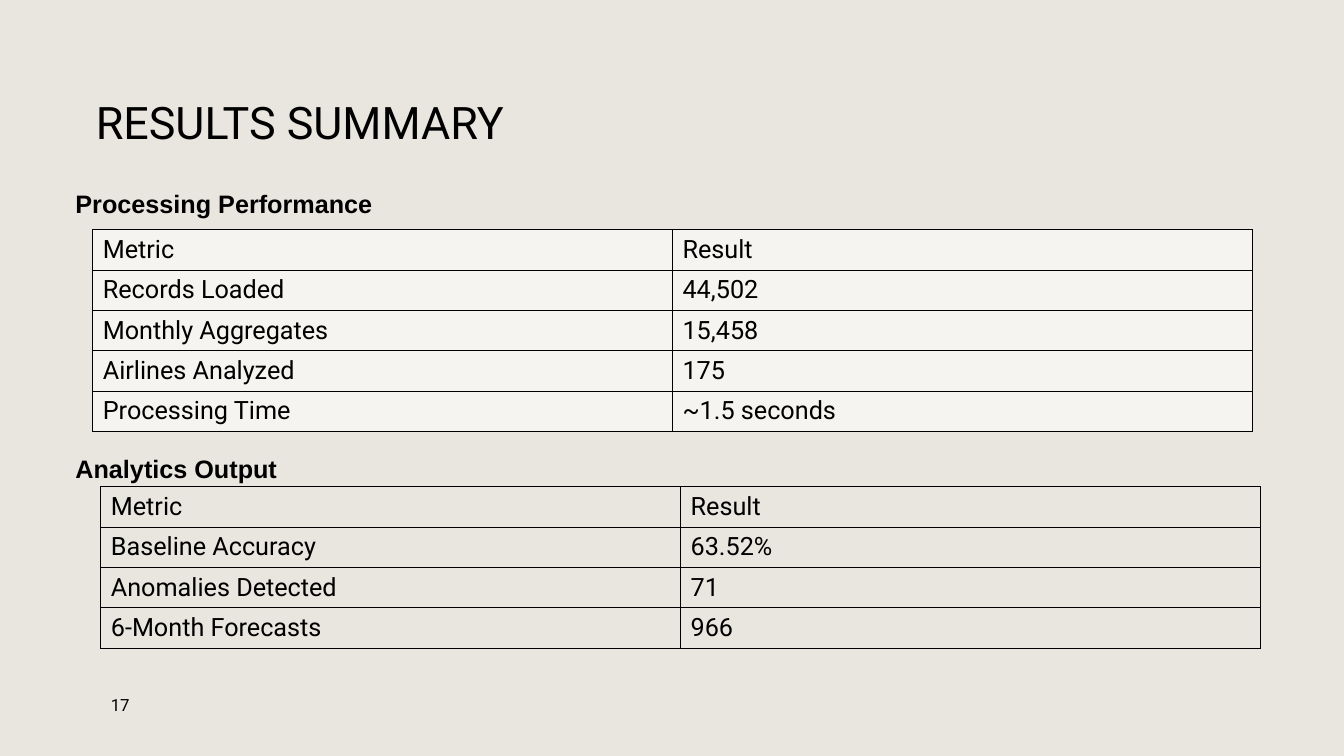
from dataclasses import dataclass

from lxml import etree
from pptx import Presentation
from pptx.dml.color import RGBColor
from pptx.enum.text import MSO_ANCHOR, PP_ALIGN
from pptx.oxml.ns import qn
from pptx.slide import Slide
from pptx.table import _Cell
from pptx.text.text import TextFrame
from pptx.util import Emu, Pt

SCALE = 9144  # EMU in one px, 100 px to the inch
ROW = 40
COL = 575

BLACK = RGBColor(0x00, 0x00, 0x00)
SAND = RGBColor(0xE9, 0xE6, 0xDF)
CREAM = RGBColor(0xF5, 0xF4, 0xF0)


@dataclass(frozen=True)
class Box:
    left: int
    top: int
    width: int
    height: int

    def emu(self) -> tuple[Emu, ...]:
        sides = (self.left, self.top, self.width, self.height)
        return tuple(Emu(side * SCALE) for side in sides)


@dataclass(frozen=True)
class Label:
    text: str
    box: Box
    size: int = 18
    font: str = "Arial"
    bold: bool = True


@dataclass(frozen=True)
class Grid:
    left: int
    top: int
    fill: RGBColor
    rows: tuple[tuple[str, str], ...]


LABELS = (
    Label("Processing Performance", Box(65, 182, 318, 40)),
    Label("Analytics Output", Box(65, 445, 667, 40)),
    Label("17", Box(100, 683, 69, 32), 12, "Roboto", False),
)

HEAD = ("Metric", "Result")
GRIDS = (
    Grid(92, 228, CREAM, (
        HEAD,
        ("Records Loaded", "44,502"),
        ("Monthly Aggregates", "15,458"),
        ("Airlines Analyzed", "175"),
        ("Processing Time", "~1.5 seconds"),
    )),
    Grid(100, 483, SAND, (
        HEAD,
        ("Baseline Accuracy", "63.52%"),
        ("Anomalies Detected", "71"),
        ("6-Month Forecasts", "966"),
    )),
)


def write(frame: TextFrame, text: str, size: int, font: str = "Roboto",
          bold: bool = False) -> None:
    frame.text = text
    line = frame.paragraphs[0]
    line.alignment = PP_ALIGN.LEFT
    face = line.runs[0].font
    face.name = font
    face.size = Pt(size)
    face.bold = bold
    face.color.rgb = BLACK


def add_title(slide: Slide, text: str, box: Box) -> None:
    title = slide.shapes.title
    title.left, title.top, title.width, title.height = box.emu()
    frame = title.text_frame
    frame.vertical_anchor = MSO_ANCHOR.MIDDLE
    write(frame, text, 32)
    frame.paragraphs[0].line_spacing = 0.9


def add_label(slide: Slide, label: Label) -> None:
    frame = slide.shapes.add_textbox(*label.box.emu()).text_frame
    frame.word_wrap = True
    frame.vertical_anchor = MSO_ANCHOR.MIDDLE
    write(frame, label.text, label.size, label.font, label.bold)


def add_edges(cell: _Cell) -> None:
    """Draw a thin black line on all four sides of the cell."""
    props = cell._tc.get_or_add_tcPr()
    for spot, tag in enumerate(("a:lnL", "a:lnR", "a:lnT", "a:lnB")):
        edge = etree.Element(qn(tag), w=str(Pt(1)))
        solid = etree.SubElement(edge, qn("a:solidFill"))
        etree.SubElement(solid, qn("a:srgbClr"), val=str(BLACK))
        props.insert(spot, edge)


def add_grid(slide: Slide, grid: Grid) -> None:
    count = len(grid.rows)
    box = Box(grid.left, grid.top, COL * len(HEAD), ROW * count)
    table = slide.shapes.add_table(count, len(HEAD), *box.emu()).table
    table.first_row = False
    table.horz_banding = False
    for y, row in enumerate(grid.rows):
        for x, text in enumerate(row):
            cell = table.cell(y, x)
            cell.vertical_anchor = MSO_ANCHOR.MIDDLE
            cell.fill.solid()
            cell.fill.fore_color.rgb = grid.fill
            write(cell.text_frame, text, 18)
            add_edges(cell)


def main() -> None:
    deck = Presentation()
    deck.slide_width = Emu(1333 * SCALE)
    deck.slide_height = Emu(750 * SCALE)
    slide = deck.slides.add_slide(deck.slide_layouts.get_by_name("Title Only"))
    slide.background.fill.solid()
    slide.background.fill.fore_color.rgb = SAND

    add_title(slide, "RESULTS SUMMARY", Box(85, 35, 1133, 178))
    for grid in GRIDS:
        add_grid(slide, grid)
    for label in LABELS:
        add_label(slide, label)
    deck.save("out.pptx")


if __name__ == "__main__":
    main()
